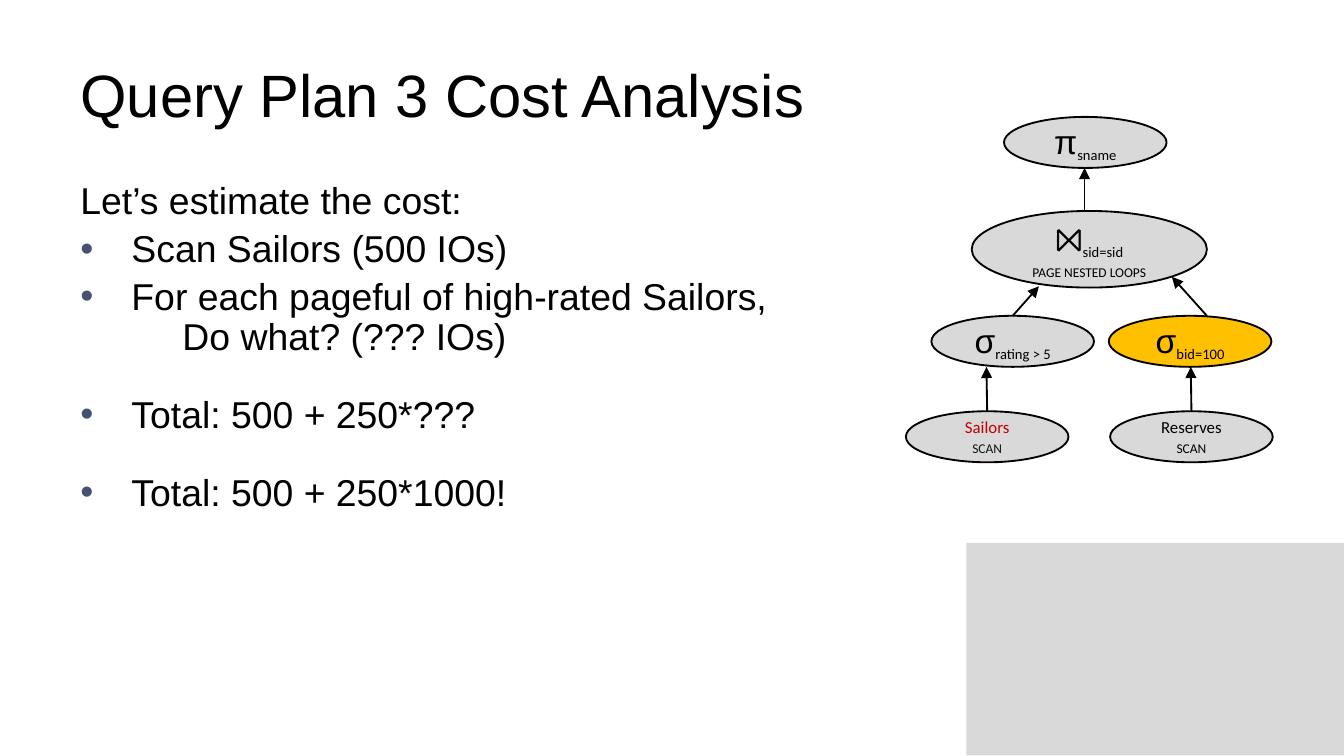
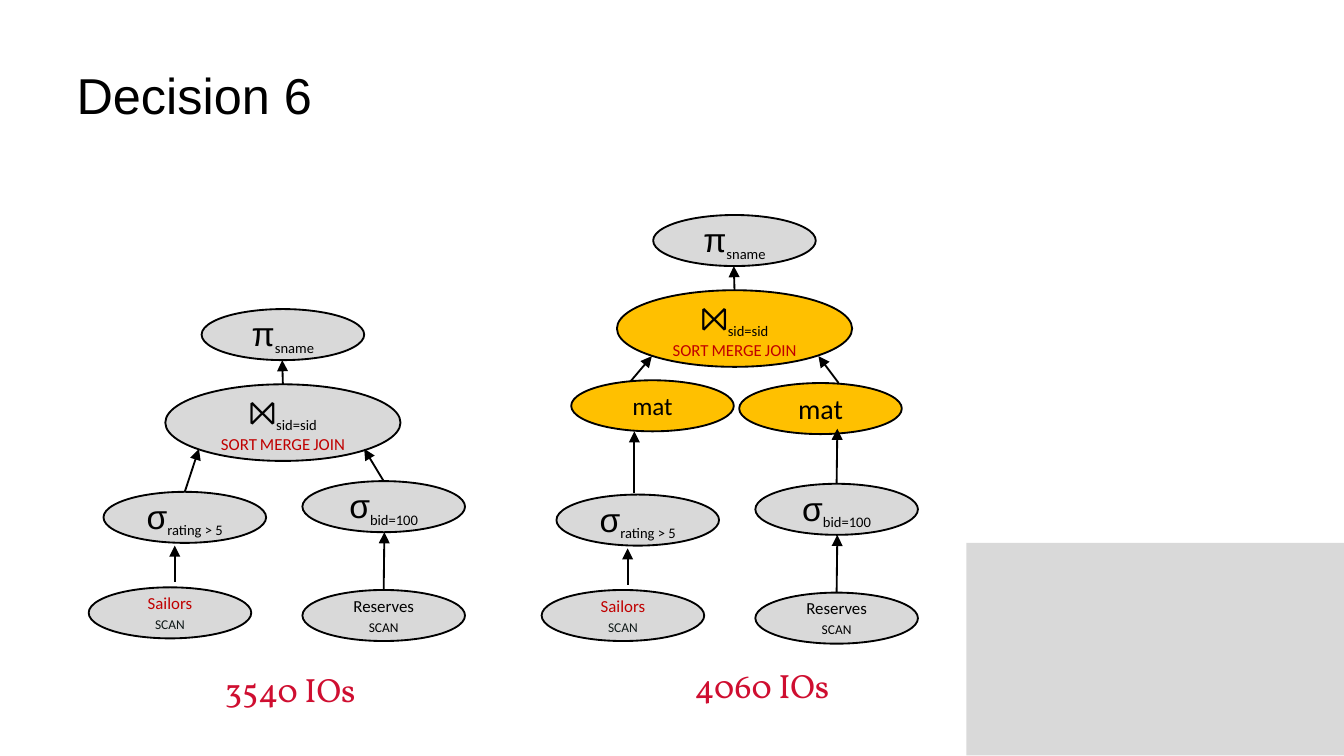
from pptx import Presentation
from pptx import util as u
from pptx.dml.color import RGBColor
from pptx.enum import shapes, text
from pptx.oxml import ns, xmlchemy

BLACK = RGBColor(0x00, 0x00, 0x00)
INK = RGBColor(0x0E, 0x18, 0x17)
GREY = RGBColor(0xD9, 0xD9, 0xD9)
AMBER = RGBColor(0xFF, 0xC0, 0x00)
RED = RGBColor(0xC0, 0x00, 0x00)
CRIMSON = RGBColor(0xCF, 0x0E, 0x30)
BULLET = RGBColor(0x44, 0x51, 0x6F)

OPERATOR = (1.21, 0.38)
JOIN = (1.75, 0.57)


# Node labels: paragraphs of runs (text, size, font, colour, run properties)
def small(words, colour=BLACK, caps=True):
    return (words, 9, "Calibri", colour, {"cap": "small"} if caps else {})


def operator(symbol, subscript):
    return [(symbol, 18, "Arial", BLACK, {}),
            (subscript, 13.5, "Calibri", BLACK, {"baseline": "-25000"})]


def join_label(method, colour=BLACK):
    return [operator("⨝", "sid=sid") + ["break", small(method, colour)]]


def table_scan(table, table_colour, scan_colour):
    return [[small(table, table_colour, False)], [small("scan", scan_colour)]]


def mat(size):
    return [[("mat", size, "Calibri", BLACK, {})]]


PROJECT = [operator("π", "sname")]
RATING = [operator("σ", "rating > 5")]
BID = [operator("σ", "bid=100")]
SAILORS = table_scan("Sailors", RED, INK)
RESERVES = table_scan("Reserves", BLACK, BLACK)
NESTED_LOOPS = join_label("page nested loops")
SORT_MERGE = join_label("SORT MERGE JOIN", RED)

# Nodes: name -> (label, left, top, size, fill), relative to the region
# Arrows: (node whose top is joined, or None; from x, y; to x, y)
SLIDE_1_NODES = {
    "project": (PROJECT, 0.73, 0, OPERATOR, GREY),
    "bid": (BID, 1.51, 1.48, OPERATOR, AMBER),
    "rating": (RATING, 0.19, 1.48, OPERATOR, GREY),
    "join": (NESTED_LOOPS, 0.49, 0.7, JOIN, GREY),
    "sailors": (SAILORS, 0, 2.19, OPERATOR, GREY),
    "reserves": (RESERVES, 1.52, 2.19, OPERATOR, GREY),
}
SLIDE_1_ARROWS = [
    ("sailors", 0.6, 2.19, 0.6, 1.86),
    ("reserves", 2.12, 2.19, 2.12, 1.86),
    ("rating", 0.8, 1.48, 0.99, 1.26),
    (None, 2.24, 1.48, 1.98, 1.19),
    (None, 1.33, 0.7, 1.33, 0.38),
]
# Scans and selections, the same in both plans of slide 2
SCAN_NODES = {
    "rating": (RATING, 0.11, 0.08, OPERATOR, GREY),
    "sailors": (SAILORS, 0, 0.79, OPERATOR, GREY),
    "bid": (BID, 1.59, 0, OPERATOR, GREY),
    "reserves": (RESERVES, 1.59, 0.81, OPERATOR, GREY),
}
SCAN_ARROWS = [
    (None, 0.64, 0.75, 0.64, 0.48),
    ("reserves", 2.2, 0.81, 2.2, 0.38),
]
MAT_NODES = {
    "left mat": (mat(13.5), 0.22, 0, OPERATOR, AMBER),
    "right mat": (mat(15), 1.47, 0.02, OPERATOR, AMBER),
}


def format_run(run, size, font, colour, properties=None):
    run.font.size = u.Pt(size)
    run.font.name = font
    run.font.color.rgb = colour
    for name, value in (properties or {}).items():
        run._r.get_or_add_rPr().set(name, value)


def add_child(parent, tag, **attributes):
    child = xmlchemy.OxmlElement(tag)
    for name, value in attributes.items():
        child.set(name, value)
    parent.append(child)
    return child


def set_insets(frame, horizontal, vertical):
    frame.margin_left = frame.margin_right = u.Inches(horizontal)
    frame.margin_top = frame.margin_bottom = u.Inches(vertical)


def add_text_box(slide, left, top, width, height):
    box = slide.shapes.add_textbox(*map(u.Inches, (left, top, width, height)))
    box.text_frame.word_wrap = True
    return box.text_frame


# Shared by both slides: corner block and title
def new_slide(presentation, title, size, insets=(0.1, 0.05)):
    slide = presentation.slides.add_slide(presentation.slide_layouts[6])
    block = slide.shapes.add_shape(
        shapes.MSO_SHAPE.RECTANGLE, *map(u.Inches, (7.19, 4.04, 2.81, 1.58)))
    block.shadow.inherit = False
    block.fill.solid()
    block.fill.fore_color.rgb = GREY
    block.line.fill.background()

    frame = add_text_box(slide, 0.5, 0.23, 9, 0.94)
    frame.vertical_anchor = text.MSO_ANCHOR.MIDDLE
    set_insets(frame, *insets)
    frame.text = title
    format_run(frame.paragraphs[0].runs[0], size, "Arial", BLACK)
    return slide


# Body list: (words, indent, space before); an indent brings a bullet
def add_body(slide, left, top, width, height, lines):
    frame = add_text_box(slide, left, top, width, height)
    for index, (words, indent, space) in enumerate(lines):
        paragraph = frame.add_paragraph() if index else frame.paragraphs[0]
        paragraph.text = words
        paragraph.line_spacing = 0.9
        paragraph.space_before = u.Pt(space)
        for run in paragraph.runs:
            format_run(run, 20, "Arial", BLACK)
        if indent:
            properties = paragraph._p.get_or_add_pPr()
            properties.set("marL", str(u.Inches(indent)))
            properties.set("indent", str(-u.Inches(indent)))
            colour = add_child(properties, "a:buClr")
            add_child(colour, "a:srgbClr", val=str(BULLET))
            add_child(properties, "a:buFont", typeface="Arial")
            add_child(properties, "a:buChar", char="•")
            tabs = add_child(properties, "a:tabLst")
            add_child(tabs, "a:tab", pos=str(u.Inches(2 * indent)), algn="l")


def add_node(slide, left, top, size, fill, label):
    node = slide.shapes.add_shape(
        shapes.MSO_SHAPE.OVAL, *map(u.Inches, (left, top, *size)))
    node.shadow.inherit = False
    node.fill.solid()
    node.fill.fore_color.rgb = fill
    node.line.color.rgb = BLACK
    node.line.width = u.Pt(1)
    frame = node.text_frame
    frame.word_wrap = True
    frame.vertical_anchor = text.MSO_ANCHOR.MIDDLE
    set_insets(frame, 0.07, 0.04)
    for index, runs in enumerate(label):
        paragraph = frame.add_paragraph() if index else frame.paragraphs[0]
        paragraph.alignment = text.PP_ALIGN.CENTER
        for part in runs:
            if part == "break":
                paragraph.add_line_break()
                continue
            run = paragraph.add_run()
            run.text = part[0]
            format_run(run, *part[1:])
    return node


def add_arrow(slide, start_x, start_y, end_x, end_y, start_node=None):
    arrow = slide.shapes.add_connector(
        shapes.MSO_CONNECTOR.STRAIGHT,
        *map(u.Inches, (start_x, start_y, end_x, end_y)))
    if start_node is not None:
        arrow.begin_connect(start_node, 0)
    arrow.line.color.rgb = BLACK
    arrow.line.width = u.Pt(1)
    add_child(arrow.line._get_or_add_ln(), "a:tailEnd", type="triangle")
    arrow._element.find(ns.qn("p:spPr")).append(
        xmlchemy.OxmlElement("a:effectLst"))


# One region of a query plan, placed from its top left corner
def add_plan(slide, left, top, nodes, arrows):
    drawn = {}
    for name, (label, x, y, size, fill) in nodes.items():
        drawn[name] = add_node(slide, left + x, top + y, size, fill, label)
    for name, start_x, start_y, end_x, end_y in arrows:
        add_arrow(slide, left + start_x, top + start_y,
                  left + end_x, top + end_y, drawn.get(name))


# Projection above a sort merge join
def add_plan_head(slide, left, top, join_fill):
    nodes = {
        "project": (PROJECT, 0.27, 0, OPERATOR, GREY),
        "join": (SORT_MERGE, 0, 0.56, JOIN, join_fill),
    }
    add_plan(slide, left, top, nodes, [("join", 0.87, 0.56, 0.87, 0.38)])


def add_cost(slide, left, top, cost):
    frame = add_text_box(slide, left, top, 1.56, 0.38)
    frame.word_wrap = False
    frame.vertical_anchor = text.MSO_ANCHOR.MIDDLE
    paragraph = frame.paragraphs[0]
    paragraph.text = cost
    paragraph.alignment = text.PP_ALIGN.CENTER
    format_run(paragraph.runs[0], 18, "Vollkorn", CRIMSON)


def build_cost_slide(presentation):
    slide = new_slide(presentation, "Query Plan 3 Cost Analysis", 32)
    add_body(slide, 0.5, 1.31, 9, 3.71, [
        ("Let’s estimate the cost:", 0, 4),
        ("Scan Sailors (500 IOs)", 0.38, 4),
        ("For each pageful of high-rated Sailors, \v\tDo what? (??? IOs)",
         0.38, 4),
        ("Total: 500 + 250*???", 0.38, 20),
        ("Total: 500 + 250*1000!", 0.38, 20),
    ])
    add_plan(slide, 6.74, 0.87, SLIDE_1_NODES, SLIDE_1_ARROWS)


def build_decision_slide(presentation):
    slide = new_slide(presentation, "Decision 6", 27, (0.07, 0.04))

    # Plan without materialization
    add_plan_head(slide, 1.23, 2.3, GREY)
    add_plan(slide, 0.66, 3.58, SCAN_NODES, SCAN_ARROWS + [
        ("rating", 0.71, 0.08, 0.82, -0.24),
        ("bid", 2.2, 0, 2.05, -0.24),
    ])
    add_cost(slide, 1.38, 4.94, "3540 IOs")

    # Plan with both inputs materialized
    add_plan_head(slide, 4.59, 1.6, AMBER)
    add_plan(slide, 4.03, 2.83, MAT_NODES, [
        (None, 0.66, 0.01, 0.82, -0.18),
        (None, 2.21, 0.02, 2.06, -0.18),
    ])
    add_plan(slide, 4.03, 3.6, SCAN_NODES, SCAN_ARROWS + [
        (None, 0.69, 0.07, 0.69, -0.39),
        ("bid", 2.2, 0, 2.2, -0.41),
    ])
    add_cost(slide, 4.89, 4.91, "4060 IOs")


def main():
    presentation = Presentation()
    presentation.slide_width = u.Inches(10)
    presentation.slide_height = u.Inches(10 * 9 / 16)
    build_cost_slide(presentation)
    build_decision_slide(presentation)
    presentation.save("out.pptx")


if __name__ == "__main__":
    main()
